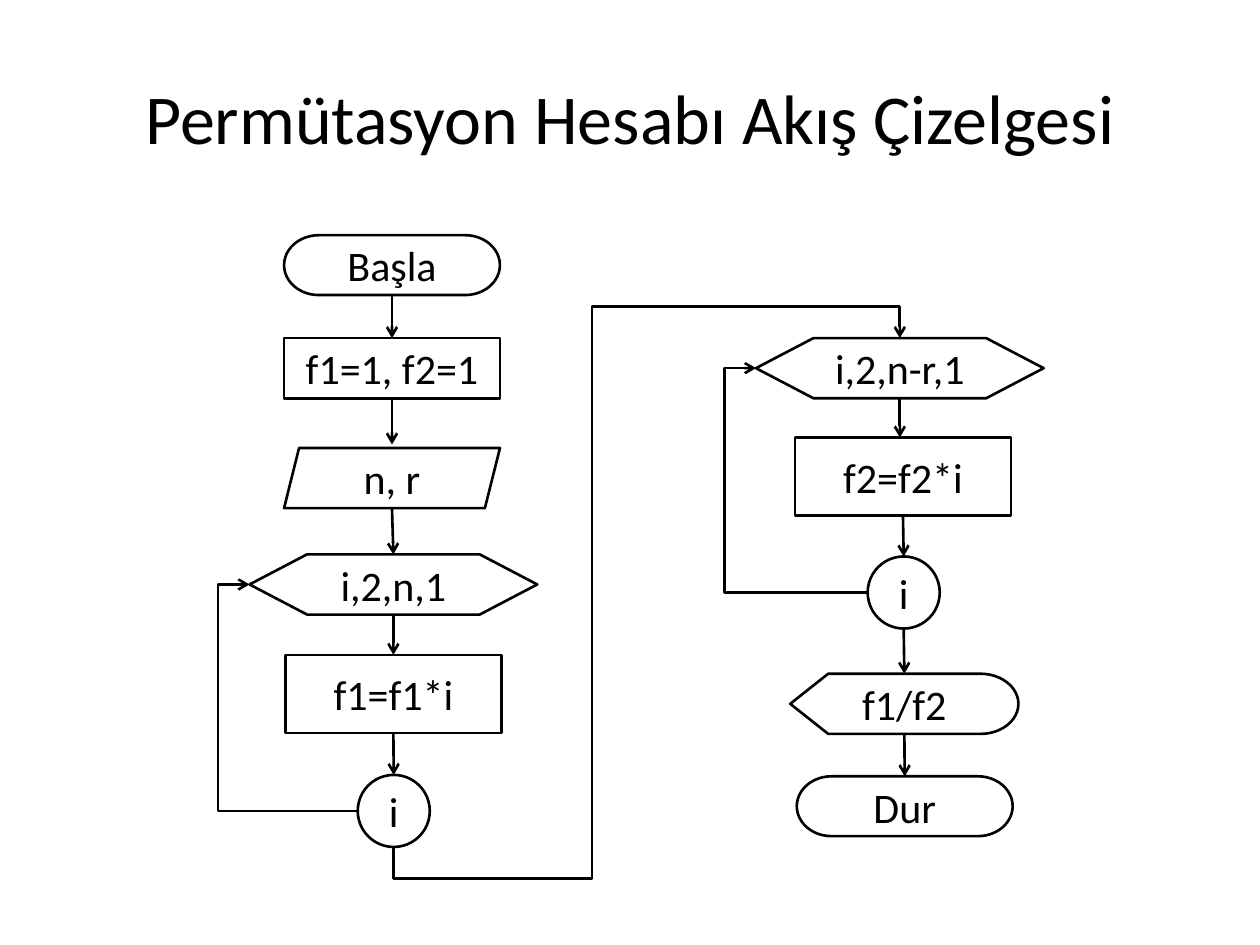
from lxml import etree
from pptx import Presentation
from pptx.dml.color import RGBColor
from pptx.enum.shapes import MSO_CONNECTOR, MSO_SHAPE
from pptx.enum.text import MSO_ANCHOR, PP_ALIGN
from pptx.oxml.ns import qn
from pptx.util import Pt

COLORS = {"ink": "000000", "paper": "FFFFFF"}
FONT = "Calibri"
INK = RGBColor.from_string(COLORS["ink"])


def write(frame, text, size):
    """Put centred text into a text frame."""
    frame.text = text
    frame.word_wrap = True
    frame.vertical_anchor = MSO_ANCHOR.MIDDLE
    paragraph = frame.paragraphs[0]
    paragraph.alignment = PP_ALIGN.CENTER
    font = paragraph.runs[0].font
    font.name, font.size, font.color.rgb = FONT, Pt(size), INK


def arrow(kind, start, end, bends=()):
    """Draw an arrow; bends are fractions of the way from start to end."""
    connector = slide.shapes.add_connector(kind, *map(Pt, start + end))
    connector.line.width = Pt(1.5)
    connector.line.color.rgb = INK
    properties = connector._element.spPr
    line = properties.find(qn("a:ln"))
    etree.SubElement(line, qn("a:tailEnd"), type="arrow")
    etree.SubElement(properties, qn("a:effectLst"))
    geometry = properties.find(qn("a:prstGeom"))
    guides = geometry.find(qn("a:avLst"))
    for number, bend in enumerate(bends, 1):
        name = "adj1" if len(bends) == 1 else f"adj{number}"
        etree.SubElement(guides, qn("a:gd"), name=name, fmla=f"val {round(bend * 100000)}")
    return connector


prs = Presentation()
prs.slide_width, prs.slide_height = Pt(720), Pt(540)
slide = prs.slides.add_slide(prs.slide_layouts[5])
slide.background.fill.solid()
slide.background.fill.fore_color.rgb = RGBColor.from_string(COLORS["paper"])

title = slide.shapes.title
title.left, title.top, title.width, title.height = Pt(36), Pt(21.6), Pt(648), Pt(90)
write(title.text_frame, "Permütasyon Hesabı Akış Çizelgesi", 40)

# Width and height of each kind of step
SIZES = {
    MSO_SHAPE.FLOWCHART_TERMINATOR: (123.4, 34.2),
    MSO_SHAPE.FLOWCHART_PROCESS: (123.4, 44.6),
    MSO_SHAPE.PARALLELOGRAM: (123.4, 34.4),
    MSO_SHAPE.FLOWCHART_PREPARATION: (164.4, 34.4),
    MSO_SHAPE.FLOWCHART_CONNECTOR: (41.2, 41.2),
    MSO_SHAPE.FLOWCHART_DISPLAY: (130.4, 34.4),
}

# Each step: kind, text, centre x, top, height where it differs from its kind
columns = [
    [
        (MSO_SHAPE.FLOWCHART_TERMINATOR, "Başla", 224, 134.4, None),
        (MSO_SHAPE.FLOWCHART_PROCESS, "f1=1, f2=1", 224, 193.2, 34.4),
        (MSO_SHAPE.PARALLELOGRAM, "n, r", 224, 256, None),
        (MSO_SHAPE.FLOWCHART_PREPARATION, "i,2,n,1", 224.8, 316.8, None),
        (MSO_SHAPE.FLOWCHART_PROCESS, "f1=f1*i", 224.8, 374.2, None),
        (MSO_SHAPE.FLOWCHART_CONNECTOR, "i", 225, 442.8, None),
    ],
    [
        (MSO_SHAPE.FLOWCHART_PREPARATION, "i,2,n-r,1", 514.2, 193.2, None),
        (MSO_SHAPE.FLOWCHART_PROCESS, "f2=f2*i", 516, 250, None),
        (MSO_SHAPE.FLOWCHART_CONNECTOR, "i", 516.4, 318, None),
        (MSO_SHAPE.FLOWCHART_DISPLAY, "f1/f2", 516.8, 385, None),
        (MSO_SHAPE.FLOWCHART_TERMINATOR, "Dur", 517, 443.6, None),
    ],
]

LANE = 18  # distance of the bent arrows from the steps
loop_tops, loop_ends = [], []
for column in columns:
    previous = None
    for kind, text, center, top, special_height in column:
        width, height = SIZES[kind]
        height = special_height or height
        left, middle = center - width / 2, top + height / 2
        step = slide.shapes.add_shape(kind, Pt(left), Pt(top), Pt(width), Pt(height))
        step.shadow.inherit = False
        if kind == MSO_SHAPE.FLOWCHART_TERMINATOR:
            step.fill.background()
        else:
            step.fill.solid()
            step.fill.fore_color.rgb = RGBColor.from_string(COLORS["paper"])
        step.line.color.rgb = INK
        step.line.width = Pt(1.5)
        write(step.text_frame, text, 24)

        if previous:
            tip = top - 2 if kind == MSO_SHAPE.PARALLELOGRAM else top
            tip_x = previous[0] if kind == MSO_SHAPE.FLOWCHART_PROCESS else center
            arrow(MSO_CONNECTOR.STRAIGHT, previous, (tip_x, tip))
        previous = (center, top + height)

        if kind == MSO_SHAPE.FLOWCHART_PREPARATION:
            loop_start = (left, middle)
            loop_tops.append((center, top))
        elif kind == MSO_SHAPE.FLOWCHART_CONNECTOR:
            loop_ends.append(previous)
            bend = (left - loop_start[0] + LANE) / (left - loop_start[0])
            arrow(MSO_CONNECTOR.ELBOW, (left, middle), loop_start, [bend])

# From the end of the first loop to the start of the second
(x1, y1), (x2, y2) = loop_ends[0], loop_tops[1]
rise, run = y1 - y2, x2 - x1
mid_x, mid_y = (x1 + x2) / 2, (y1 + y2) / 2
bridge = arrow(
    MSO_CONNECTOR.ELBOW,
    (mid_x + rise / 2, mid_y + run / 2),
    (mid_x - rise / 2, mid_y - run / 2),
    [-LANE / rise, (338.4 - x1) / run, 1 + LANE / rise],
)
bridge_properties = bridge._element.spPr
bridge_properties.find(qn("a:xfrm")).set("rot", str(90 * 60000))
bridge_properties.find(qn("a:prstGeom")).set("prst", "bentConnector5")

prs.save("out.pptx")
